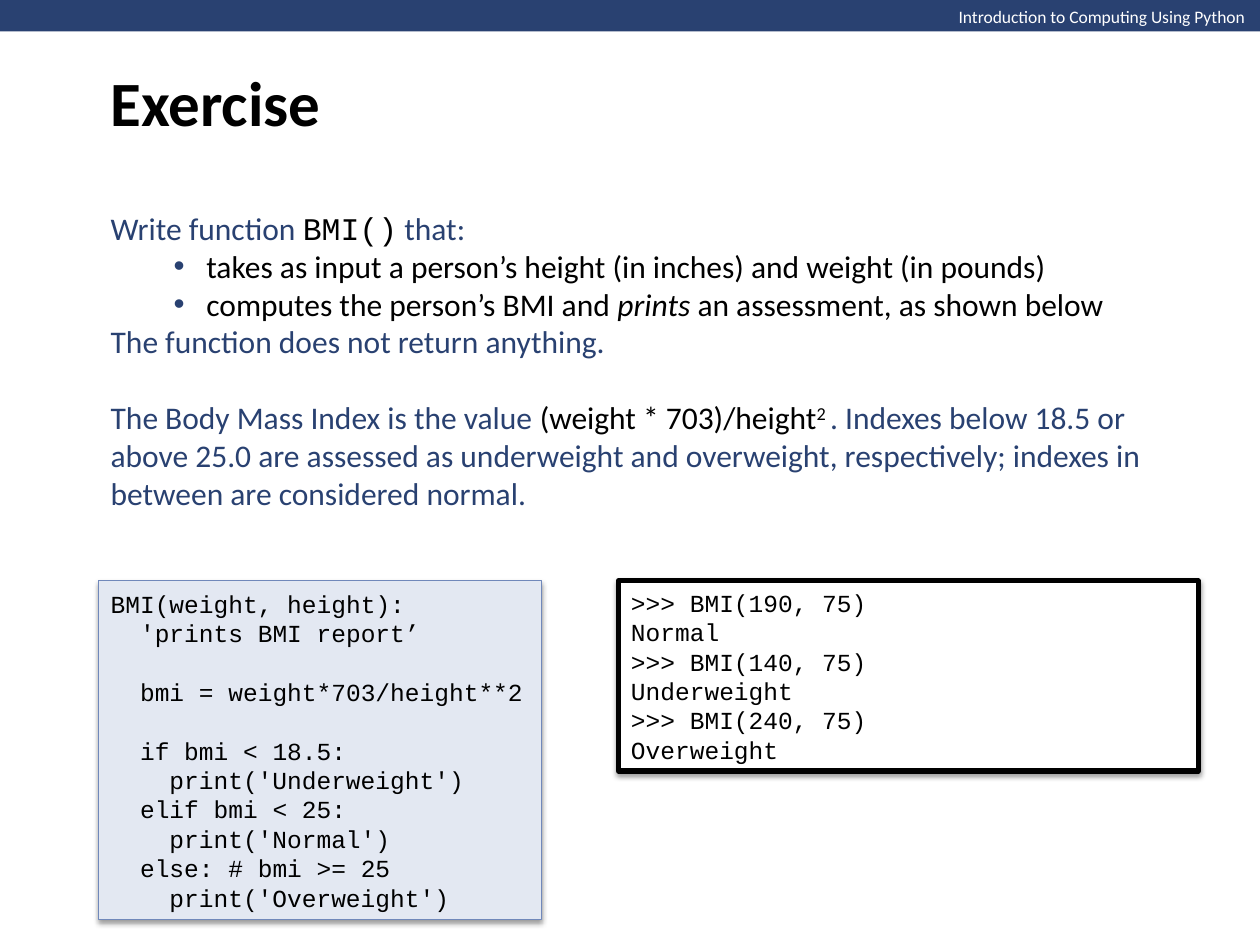
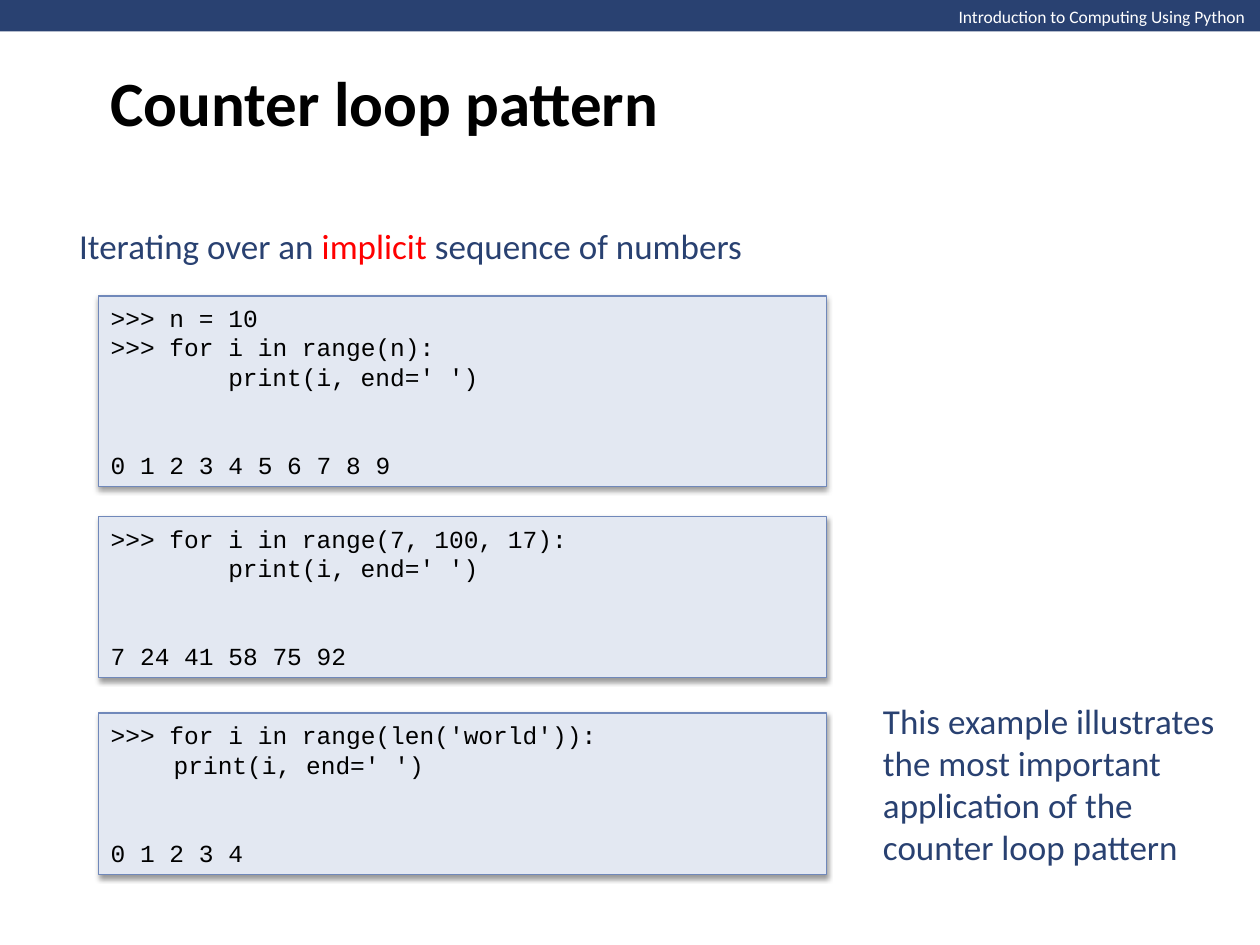
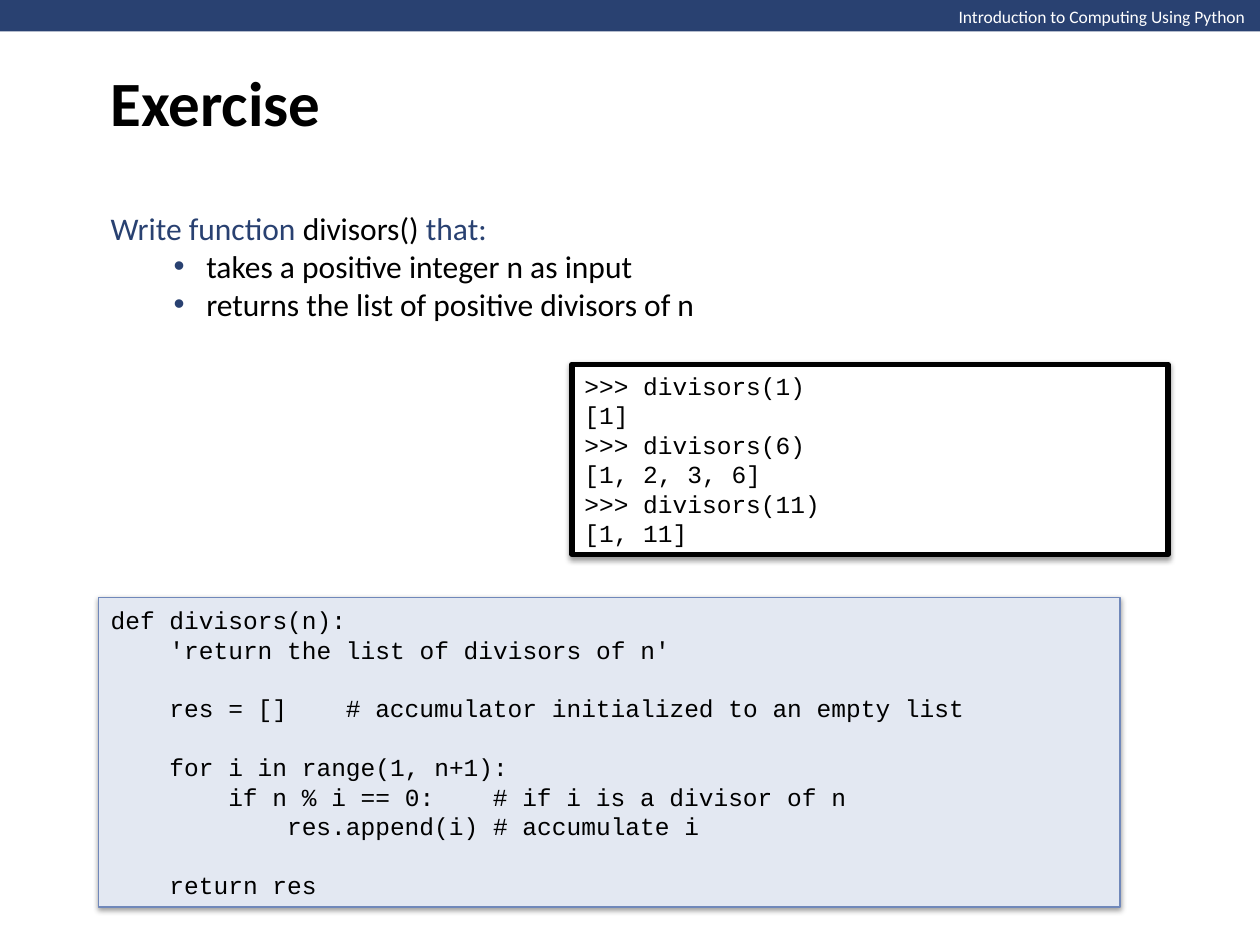
"""Build three slides of a lecture on loops and functions in Python."""
from dataclasses import dataclass, field
from typing import NamedTuple

from lxml import etree
from pptx import Presentation
from pptx import util as u
from pptx.dml.color import RGBColor
from pptx.enum import shapes, text
from pptx.oxml.ns import qn


@dataclass(frozen=True)
class Theme:
    """Colours, fonts and type sizes of the deck."""
    navy: str = "294171"
    black: str = "000000"
    white: str = "FFFFFF"
    red: str = "FF0000"
    pale: str = "E3E8F2"
    edge: str = "7088BA"
    sans: str = "Calibri"
    mono: str = "Courier New"
    header: float = 10
    code: float = 14
    body: float = 18
    lead: float = 20
    title: float = 36
    leading: float = 1.2


THEME = Theme()
COLUMNS, ROWS = 100, 75
CELL = u.Inches(0.1)
CHARACTER = 0.6 * THEME.code  # width of a monospaced character, in points
MARGIN = 7.8


class Area(NamedTuple):
    """A place on the grid, in columns and rows."""
    left: float
    top: float
    width: float
    height: float

    def lengths(self) -> list:
        """Return the place in slide units."""
        return [round(value * CELL) for value in self]


class Span(NamedTuple):
    """A stretch of text with one format."""
    text: str
    color: str = THEME.navy
    font: str = THEME.sans
    bold: bool = False
    italic: bool = False
    raised: bool = False


@dataclass
class Para:
    """A paragraph, with the number of empty lines above it."""
    spans: list
    size: float = THEME.body
    gap: int = 0
    bullet: bool = False
    stops: list = field(default_factory=list)


class Panel(NamedTuple):
    """The look of a code box."""
    fill: str
    line: str
    weight: float


LISTING = Panel(THEME.pale, THEME.edge, 0.75)
CONSOLE = Panel(THEME.white, THEME.black, 3)


def add_node(parent, tag: str, **values):
    """Append a DrawingML element with the given attributes."""
    node = etree.SubElement(parent, qn(f"a:{tag}"))
    for name, value in values.items():
        node.set(name, str(value))
    return node


def format_para(target, para: Para) -> None:
    """Set the bullet, tab stops and spacing of a paragraph."""
    properties = target._p.get_or_add_pPr()
    if para.bullet:
        target.level = 1
        properties.set("marL", str(u.Inches(0.76)))
        properties.set("indent", str(u.Inches(-0.26)))
        add_node(add_node(properties, "buClr"), "srgbClr", val=THEME.navy)
        add_node(properties, "buFont", typeface="Arial")
        add_node(properties, "buChar", char="•")
    if para.stops:
        tabs = add_node(properties, "tabLst")
        for column in para.stops:
            add_node(tabs, "tab", pos=u.Pt(column * CHARACTER), algn="l")
    pitch = THEME.leading * para.size
    spacing = {"alignment": text.PP_ALIGN.LEFT, "line_spacing": u.Pt(pitch),
               "space_before": u.Pt(para.gap * pitch)}
    for name, value in spacing.items():
        setattr(target, name, value)


def write(box, paras: list, anchor=text.MSO_ANCHOR.MIDDLE, wrap: bool = True,
          fit=text.MSO_AUTO_SIZE.SHAPE_TO_FIT_TEXT) -> None:
    """Fill a box with formatted paragraphs."""
    frame = box.text_frame
    settings = {"word_wrap": wrap, "auto_size": fit, "vertical_anchor": anchor}
    for name, value in settings.items():
        setattr(frame, name, value)
    for index, para in enumerate(paras):
        target = frame.add_paragraph() if index else frame.paragraphs[0]
        format_para(target, para)
        for span in para.spans:
            run = target.add_run()
            run.text = span.text
            look = {"name": span.font, "size": u.Pt(para.size),
                    "bold": span.bold, "italic": span.italic}
            for name, value in look.items():
                setattr(run.font, name, value)
            run.font.color.rgb = RGBColor.from_string(span.color)
            if span.raised:
                run._r.get_or_add_rPr().set("baseline", "30000")


def add_text(page, area: Area, paras: list, **settings) -> None:
    """Add a text box."""
    write(page.shapes.add_textbox(*area.lengths()), paras, **settings)


def add_rectangle(page, area: Area, fill: str):
    """Add a plain filled rectangle."""
    box = page.shapes.add_shape(shapes.MSO_SHAPE.RECTANGLE, *area.lengths())
    box.shadow.inherit = False
    box.fill.solid()
    box.fill.fore_color.rgb = RGBColor.from_string(fill)
    box.line.fill.background()
    return box


def code_para(line: str, gap: int) -> Para:
    """Turn each wide gap in a code line into a tab to the same column."""
    result, stops, column = "", [], 0
    while column < len(line):
        rest = line[column:]
        width = len(rest) - len(rest.lstrip(" "))
        if width > 1:
            column += width
            stops.append(column)
            result += "\t"
        else:
            result += line[column]
            column += 1
    return Para([Span(result, THEME.black, THEME.mono)], THEME.code, gap, stops=stops)


def add_code(page, area: Area, source: str, panel: Panel = LISTING) -> None:
    """Add a shadowed box of code."""
    box = add_rectangle(page, area, panel.fill)
    box.line.color.rgb = RGBColor.from_string(panel.line)
    box.line.width = u.Pt(panel.weight)
    effects = box._element.spPr.find(qn("a:effectLst"))
    shadow = add_node(effects, "outerShdw", blurRad=u.Pt(3.1), dist=u.Pt(1.6),
                      dir=90 * 60000, rotWithShape=0)
    add_node(add_node(shadow, "srgbClr", val=THEME.black), "alpha", val=38000)
    paras, gap = [], 0
    for line in source.strip("\n").split("\n"):
        if line:
            paras.append(code_para(line, gap))
        gap = 0 if line else gap + 1
    write(box, paras)


def add_page(deck, title: str):
    """Add a slide with the band, the running header and a title."""
    page = deck.slides.add_slide(deck.slide_layouts[6])
    add_rectangle(page, Area(0, 0, COLUMNS, 2.5), THEME.navy)
    header = Span("Introduction to Computing Using Python", THEME.white)
    add_text(page, Area(75.1, 0, 25, 2.7), [Para([header], THEME.header)],
             anchor=text.MSO_ANCHOR.TOP, wrap=False)
    heading = Span(title, THEME.black, bold=True)
    add_text(page, Area(MARGIN, 0, 85, 16.1), [Para([heading], THEME.title)],
             fit=text.MSO_AUTO_SIZE.NONE)
    return page


def task(name: Span, *bullets: list) -> list:
    """Return the paragraphs that state what a function must do."""
    opening = Para([Span("Write function "), name, Span(" that:")])
    return [opening] + [Para(spans, bullet=True) for spans in bullets]


def black(words: str, **look) -> Span:
    """Return a black span."""
    return Span(words, THEME.black, **look)


def build_bmi(deck) -> None:
    """Build the body mass index exercise."""
    page = add_page(deck, "Exercise")
    add_code(page, Area(49.1, 46.1, 46, 15.1), """
>>> BMI(190, 75)
Normal
>>> BMI(140, 75)
Underweight
>>> BMI(240, 75)
Overweight
""", CONSOLE)
    paras = task(
        black("BMI()", font=THEME.mono),
        [black("takes as input a person’s height (in inches) and weight (in pounds)")],
        [black("computes the person’s BMI and "), black("prints", italic=True),
         black(" an assessment, as shown below")])
    paras.append(Para([Span("The function does not return anything.")]))
    paras.append(Para([
        Span("The Body Mass Index is the value "), black("(weight * 703)/height"),
        black("2 ", raised=True),
        Span(". Indexes below 18.5 or above 25.0 are assessed as underweight and "
             "overweight, respectively; indexes in between are considered normal.")],
        gap=1))
    add_text(page, Area(MARGIN, 16.1, 85, 25.2), paras, anchor=text.MSO_ANCHOR.TOP)
    add_code(page, Area(MARGIN, 46.1, 35.2, 26.9), """
BMI(weight, height):
  'prints BMI report’

  bmi = weight*703/height**2

  if bmi < 18.5:
    print('Underweight')
  elif bmi < 25:
    print('Normal')
  else: # bmi >= 25
    print('Overweight')
""")


def build_counter(deck) -> None:
    """Build the slide on counter loops."""
    page = add_page(deck, "Counter loop pattern")
    lead = [Span("Iterating over an "), Span("implicit ", THEME.red),
            Span("sequence of numbers")]
    add_text(page, Area(5.3, 17.3, 89.3, 4.4), [Para(lead, THEME.lead)])
    examples = [
        (23.5, 15.1, ">>> n = 10\n>>> for i in range(n):\n"
                     "        print(i, end=' ')\n\n\n0 1 2 3 4 5 6 7 8 9"),
        (41, 12.8, ">>> for i in range(7, 100, 17):\n"
                   "        print(i, end=' ')\n\n\n7 24 41 58 75 92"),
        (56.6, 12.8, ">>> for i in range(len('world')):\n"
                     "\tprint(i, end=' ')\n\n\n0 1 2 3 4"),
    ]
    for top, height, source in examples:
        add_code(page, Area(MARGIN, top, 57.8, height), source)
    remark = Span("This example illustrates the most important application "
                  "of the counter loop pattern")
    add_text(page, Area(69.1, 54.9, 29, 14.5), [Para([remark], THEME.lead)])


def build_divisors(deck) -> None:
    """Build the divisors exercise."""
    page = add_page(deck, "Exercise")
    add_code(page, Area(45.4, 28.9, 47.3, 15.1), """
>>> divisors(1)
[1]
>>> divisors(6)
[1, 2, 3, 6]
>>> divisors(11)
[1, 11]
""", CONSOLE)
    paras = task(black("divisors()"),
                 [black("takes a positive integer n as input")],
                 [black("returns the list of positive divisors of n")])
    add_text(page, Area(MARGIN, 16.1, 50.4, 10.1), paras, anchor=text.MSO_ANCHOR.TOP)
    add_code(page, Area(MARGIN, 47.4, 81.1, 24.6), """
def divisors(n):
    'return the list of divisors of n'

    res = []    # accumulator initialized to an empty list

    for i in range(1, n+1):
        if n % i == 0:    # if i is a divisor of n
            res.append(i) # accumulate i

    return res
""")


def main() -> None:
    """Build and save the deck."""
    deck = Presentation()
    deck.slide_width, deck.slide_height = COLUMNS * CELL, ROWS * CELL
    for build in (build_bmi, build_counter, build_divisors):
        build(deck)
    deck.save("out.pptx")


main()
